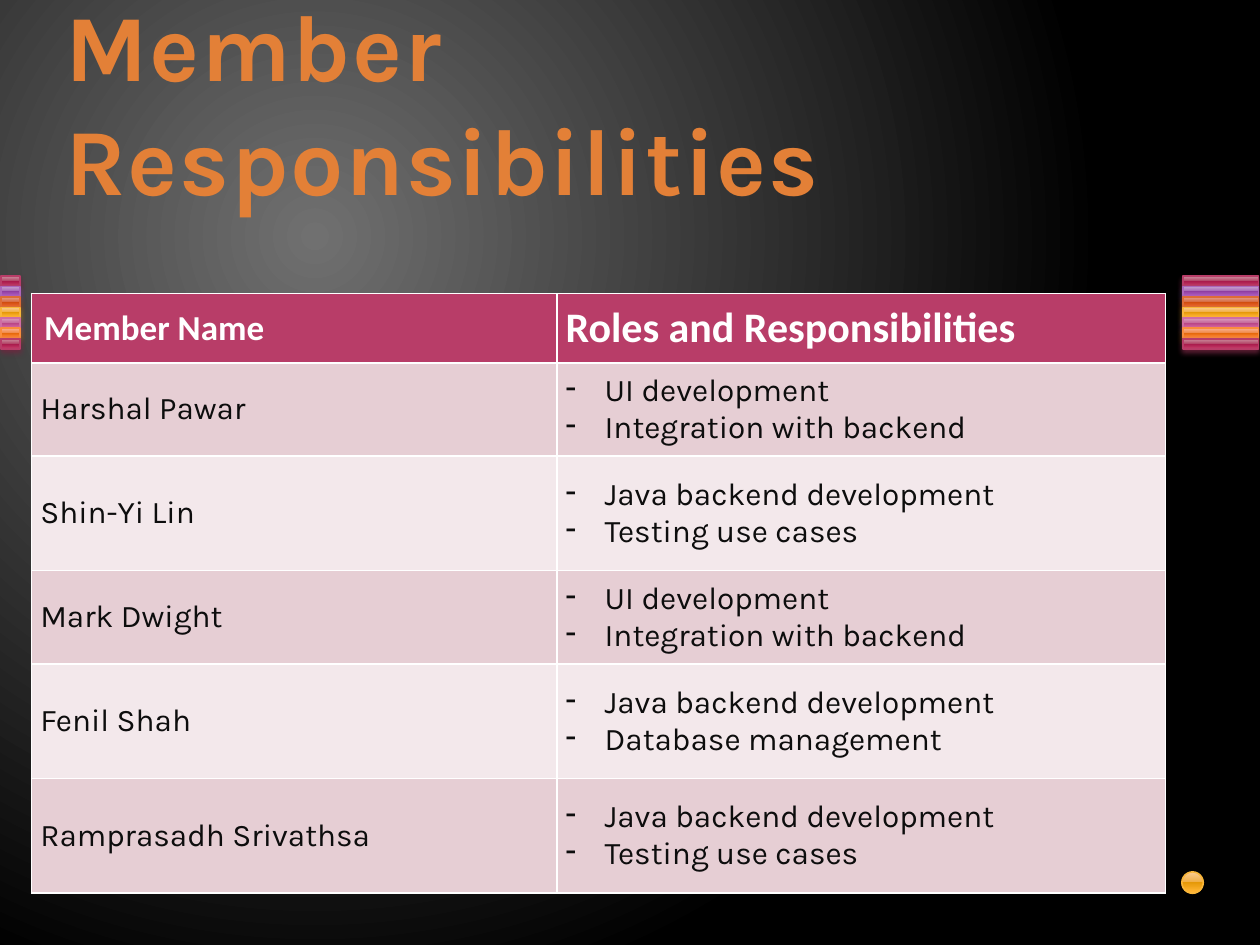
from lxml.etree import SubElement
from pptx import Presentation
from pptx.dml.color import RGBColor
from pptx.enum.shapes import MSO_SHAPE
from pptx.enum.text import MSO_ANCHOR, PP_ALIGN
from pptx.oxml import parse_xml
from pptx.oxml.ns import nsdecls, qn
from pptx.util import Inches, Pt

COLORS = {
    "title": "E38037", "header": "B83D68", "white": "FFFFFF", "ink": "0D0D0D",
    "band": "E6CED4", "light": "F3E8EB", "glow": "707070", "black": "000000",
}
GLOSS = {
    "rose": ("B83D68", "722640", ["CE94A2", "B34869", "A61749", "C13764", "CA5D7C"]),
    "purple": ("AC66BB", "6A3F73", ["C6A2D0", "A666B4", "8F3EA1", "AD5DBF", "BA76CA"]),
    "rust": ("DE6C36", "894321", ["E7A493", "D66B42", "CC4809", "E9642C", "F07B55"]),
    "amber": ("F9B639", "9A7023", ["FBCC93", "EFAE43", "E59807", "FFB432", "FFBE5F"]),
    "pink": ("CF6DA4", "804365", ["DDA4C1", "C66B9D", "B34181", "D361A0", "DC79AE"]),
    "orange": ("FA8D3D", "9A5726", ["FBB494", "F08745", "E5670B", "FF8736", "FF9961"]),
}
STRIPES = ["rose", "purple", "rust", "amber", "pink", "orange", "rose"]
MEMBERS = [
    ("Harshal Pawar", ["UI development", "Integration with backend"]),
    ("Shin-Yi Lin", ["Java backend development", "Testing use cases"]),
    ("Mark Dwight", ["UI development", "Integration with backend"]),
    ("Fenil Shah", ["Java backend development", "Database management"]),
    ("Ramprasadh Srivathsa", ["Java backend development", "Testing use cases"]),
]


def set_gradient(props, stops, shade):
    gs = "".join(f'<a:gs pos="{pos * 1000}"><a:srgbClr val="{c}"/></a:gs>' for pos, c in stops)
    old = props.find(qn("a:gradFill"))
    new = parse_xml(f'<a:gradFill {nsdecls("a")} rotWithShape="1"><a:gsLst>{gs}</a:gsLst>{shade}</a:gradFill>')
    props.replace(old, new)


def add_glossy(shapes, kind, left, top, width, height, name):
    line, _, tones = GLOSS[name]
    s = shapes.add_shape(kind, Inches(left), Inches(top), Inches(width), Inches(height))
    s.fill.gradient()
    set_gradient(s._element.spPr, zip([0, 49, 49, 92, 100], tones), '<a:lin ang="5400000" scaled="0"/>')
    s.line.color.rgb = RGBColor.from_string(line)
    s.line.width = Pt(0.9)
    s.shadow.inherit = False
    return s


prs = Presentation()
prs.slide_width, prs.slide_height = Inches(10), Inches(7.5)
slide = prs.slides.add_slide(prs.slide_layouts[5])
slide.background.fill.gradient()
set_gradient(
    slide.element.find(".//" + qn("p:bgPr")),
    [(0, COLORS["glow"]), (100, COLORS["black"])],
    '<a:path path="circle"><a:fillToRect l="50000" t="50000" r="100000" b="100000"/></a:path>',
)

for left, width in [(0.01, 0.15), (9.39, 0.6)]:
    group = slide.shapes.add_group_shape()
    for i, name in enumerate(STRIPES):
        s = add_glossy(group.shapes, MSO_SHAPE.RECTANGLE, left, 2.19 + i * 0.083, width, 0.08, name)
        effects = s._element.spPr.find(qn("a:effectLst"))
        shadow = SubElement(effects, qn("a:outerShdw"), blurRad=str(Pt(3.1)), dist=str(Pt(2)),
                            dir="5400000", rotWithShape="0")
        tint = SubElement(shadow, qn("a:srgbClr"), val=GLOSS[name][1])
        SubElement(tint, qn("a:alpha"), val="83000")
add_glossy(slide.shapes, MSO_SHAPE.OVAL, 9.38, 6.92, 0.17, 0.17, "amber")

title = slide.shapes.title
title.left, title.top, title.width, title.height = Inches(0.42), Inches(0.5), Inches(9), Inches(1.25)
tf = title.text_frame
tf.word_wrap = True
tf.vertical_anchor = MSO_ANCHOR.BOTTOM
tf.margin_right = Inches(0.5)
p = tf.paragraphs[0]
p.alignment = PP_ALIGN.LEFT
r = p.add_run()
r.text = "Member Responsibilities"
r.font.name, r.font.size, r.font.bold = "Karla", Pt(54), True
r.font.color.rgb = RGBColor.from_string(COLORS["title"])
r._r.get_or_add_rPr().set("spc", "100")

table = slide.shapes.add_table(6, 2, Inches(0.25), Inches(2.33), Inches(9), Inches(4.75)).table
for column, width in zip(table.columns, [4.17, 4.83]):
    column.width = Inches(width)
for row, height in zip(table.rows, [0.55, 0.74, 0.91, 0.74, 0.91, 0.91]):
    row.height = Inches(height)

rows = [("Member Name", ["Roles and Responsibilities"])] + MEMBERS
for i, (member, roles) in enumerate(rows):
    fill = "header" if i == 0 else "band" if i % 2 else "light"
    for j, lines in enumerate([[member], roles]):
        cell = table.cell(i, j)
        cell.fill.solid()
        cell.fill.fore_color.rgb = RGBColor.from_string(COLORS[fill])
        cell.vertical_anchor = MSO_ANCHOR.MIDDLE
        if i or j:
            cell.margin_left = cell.margin_right = Inches(0.07)
            cell.margin_top = cell.margin_bottom = Inches(0.04)
        tcPr = cell._tc.get_or_add_tcPr()
        for k, side in enumerate(["lnL", "lnR", "lnT", "lnB"]):
            tcPr.insert(k, parse_xml(
                f'<a:{side} {nsdecls("a")} w="{Pt(1)}"><a:solidFill>'
                f'<a:srgbClr val="{COLORS["white"]}"/></a:solidFill></a:{side}>'))
        tf = cell.text_frame
        for n, text in enumerate(lines):
            p = tf.add_paragraph() if n else tf.paragraphs[0]
            r = p.add_run()
            r.text = text
            r.font.name = "Karla" if i else "Calibri"
            r.font.size = Pt(18 if i else 24 if j else 20)
            r.font.bold = i == 0
            r.font.color.rgb = RGBColor.from_string(COLORS["ink" if i else "white"])
            if i and j:
                pPr = p._p.get_or_add_pPr()
                pPr.set("marL", str(Inches(0.31)))
                pPr.set("indent", str(-Inches(0.31)))
                SubElement(pPr, qn("a:buChar"), char="-")

prs.save("out.pptx")
